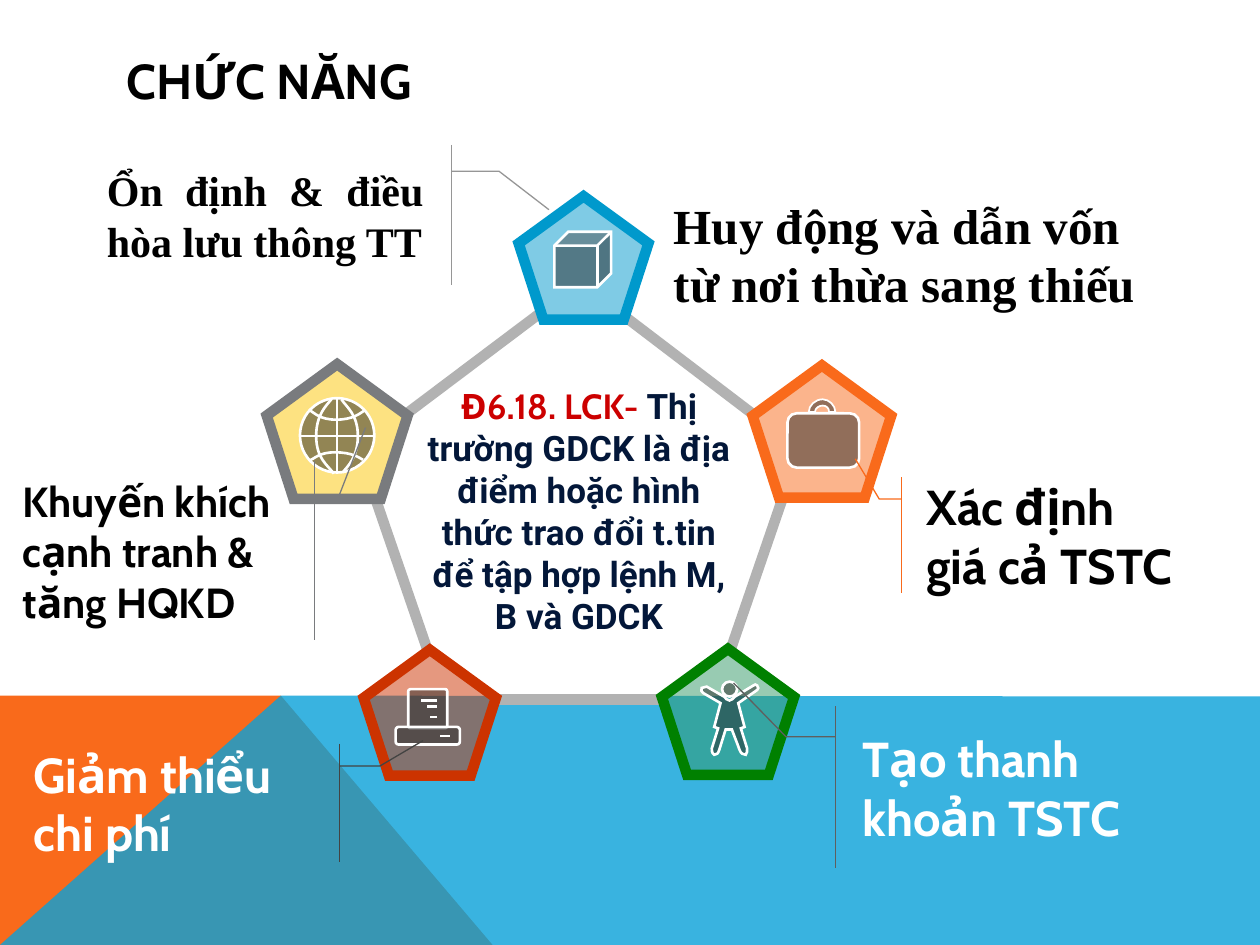
from typing import NamedTuple, Optional

from lxml import etree
from pptx import Presentation
from pptx import util as u
from pptx.dml.color import RGBColor
from pptx.enum import shapes, text
from pptx.oxml.ns import qn

Pt = u.Pt
KIND = shapes.MSO_SHAPE
ALIGN = text.PP_ALIGN
ANCHOR = text.MSO_ANCHOR

BLACK = RGBColor(0x00, 0x00, 0x00)
WHITE = RGBColor(0xFF, 0xFF, 0xFF)
ORANGE = RGBColor(0xF9, 0x6A, 0x1B)
SKY = RGBColor(0x08, 0xA1, 0xD9)
LINK_GRAY = RGBColor(0xB2, 0xB2, 0xB2)
RED = RGBColor(0xCC, 0x33, 0x00)
YELLOW = RGBColor(0xFC, 0xC7, 0x04)
SLATE = RGBColor(0x79, 0x7B, 0x7E)
BLUE = RGBColor(0x00, 0x99, 0xCC)
SEA = RGBColor(0x33, 0x99, 0x66)
GREEN = RGBColor(0x00, 0x80, 0x00)
ICON = RGBColor(0x29, 0x29, 0x29)
CRIMSON = RGBColor(0xCC, 0x00, 0x00)
NAVY = RGBColor(0x03, 0x17, 0x39)
SILVER = RGBColor(0x96, 0x96, 0x96)
CHARCOAL = RGBColor(0x43, 0x43, 0x42)
DIM = RGBColor(0x5F, 0x5F, 0x5F)

Box = tuple[float, float, float, float]


class Style(NamedTuple):
    fill: Optional[RGBColor] = None
    alpha: int = 100
    line: Optional[RGBColor] = None
    width: float = 1.5


class Part(NamedTuple):
    kind: KIND
    box: Box
    adjustments: tuple = ()


class Node(NamedTuple):
    box: Box
    fill: RGBColor
    line: RGBColor


class Words(NamedTuple):
    text: str
    size: float
    name: str = "Cabin"
    color: RGBColor = BLACK


class Callout(NamedTuple):
    box: Box
    adjustments: tuple
    line: RGBColor
    words: Words
    alignment: ALIGN = ALIGN.LEFT


ICON_STYLE = Style(ICON, 50, WHITE)
ICON_LINE = Style(line=WHITE)

BANDS = [
    ([(0, 540), (0, 397.5), (160.5, 397.5), (281.5, 540)], Style(ORANGE)),
    ([(0, 540), (160.5, 397.5), (720, 398), (720, 540)], Style(SKY, 80)),
]
LINKS = [
    (232.6, 236.2, 308.2, 179.3), (430.6, 236.9, 355, 179.3), (377.3, 399.6, 283, 399.6),
    (447.1, 285.1, 416.9, 373), (214.6, 285.1, 244.8, 373),
]
NODES = [
    Node((207.8, 371.3, 75.6, 72), RED, RED),
    Node((152.4, 208.1, 80.6, 77), YELLOW, SLATE),
    Node((430.1, 208.8, 79.2, 75.6), ORANGE, ORANGE),
    Node((296.4, 112.1, 74.2, 70.6), BLUE, BLUE),
    Node((378.2, 370.8, 75.6, 72), SEA, GREEN),
]
ICON_PARTS = [
    Part(KIND.OVAL, (171.4, 227.5, 42.5, 42.5)),
    Part(KIND.ROUNDED_RECTANGLE, (233.3, 393.8, 22.3, 22.3), (0.06,)),
    Part(KIND.ROUNDED_RECTANGLE, (226.1, 415.4, 36.7, 10.1), (0.17,)),
    Part(KIND.CUBE, (316.8, 132.5, 32.4, 31.7), (0.25,)),
    Part(KIND.ROUNDED_RECTANGLE, (450, 236.2, 41, 31), (0.17,)),
]
ICON_STROKES = [
    (192.6, 227.5, 192.6, 270), (171.4, 249.1, 213.8, 249.1),
    (257, 420.5, 251.3, 420.5), (249.8, 400.3, 240.5, 400.3),
    (249.8, 403.9, 244.1, 403.9), (249.8, 409.7, 245.5, 409.7),
]
GLOBE_ARCS = [
    [(195.1, 228.2), (198, 232.6, 204.5, 236.9, 204.5, 249.1), (204.5, 261.4, 198.7, 266.4, 195.8, 270)],
    [(189.4, 228.2), (186.5, 231.8, 180.7, 236.9, 180.7, 249.1), (180.7, 262.1, 187.2, 265.7, 190.8, 270.7)],
    [(207.4, 262.8), (205.2, 261.4, 200.9, 258.5, 191.5, 258.5), (182.2, 258.5, 180, 262.1, 176.4, 263.5)],
    [(208.1, 234.7), (205.9, 236.2, 201.6, 239.8, 192.2, 239.8), (182.9, 239.8, 180, 236.2, 176.4, 234)],
]
CASE_HANDLE = [
    (465.8, 235.4), (465.8, 233.3, 468, 231.8, 470.2, 231.8), (472.3, 231.8, 473.8, 233.3, 473.8, 235.4),
    (477.4, 235.4), (477.4, 231.8, 473.8, 228.2, 470.2, 228.2), (465.8, 228.2, 462.2, 231.8, 462.2, 235.4),
]
PERSON_BODY = [
    (414, 398.2), (414.7, 398.9, 415.4, 400.3, 416.9, 400.3), (418.3, 400.3, 419, 398.9, 419.8, 398.2),
    (430.6, 391.7), (431.3, 391, 432, 391, 432.7, 391.7), (433.4, 392.4, 434.2, 393.8, 431.3, 395.3),
    (421.9, 401.8), (425.5, 415.4), (423.4, 416.2), (427, 427.7),
    (427, 429.1, 427, 430.6, 426.2, 431.3), (424.8, 431.3, 423.4, 430.6, 422.6, 428.4),
    (421.9, 426.2, 419, 419, 418.3, 416.9), (414.7, 416.9),
    (414, 419, 411.8, 426.2, 411.1, 428.4), (410.4, 430.6, 409.7, 431.3, 408.2, 431.3),
    (407.5, 430.6, 406.8, 430.6, 406.8, 427.7), (410.4, 416.2), (408.2, 415.4), (411.8, 401.8),
    (401.8, 396), (401, 395.3, 400.3, 394.6, 401, 393.1), (402.5, 392.4, 402.5, 392.4, 403.9, 392.4),
]
PERSON_HEAD = Part(KIND.OVAL, (412.6, 389.5, 8.6, 8.6))
CALLOUTS = [
    Callout((54, 82.8, 195.1, 80.3), (0.188, 1.045, 0.188, 1.185, 0.461, 1.331), SILVER,
            Words("Ổn định & điều hòa lưu thông TT", 24, "Times New Roman"), ALIGN.JUSTIFY),
    Callout((5.8, 263.7, 166.3, 102.2), (0.188, 1.045, 0.188, 1.131, -0.19, 1.221), SLATE,
            Words("Khuyến khích cạnh tranh & tăng HQKD", 24)),
    Callout((12, 425, 174.2, 67.7), (0.188, 1.045, 0.188, 1.178, -0.026, 1.319), CHARCOAL,
            Words("Giảm thiểu chi phí", 28, color=WHITE)),
    Callout((485.8, 403.7, 185, 92.2), (0.188, -0.045, 0.188, -0.198, -0.146, -0.36), DIM,
            Words("Tạo thanh khoản TSTC", 28, color=WHITE)),
    Callout((522.3, 272.7, 155.5, 66.2), (0.188, -0.045, 0.188, -0.128, -0.159, -0.216), ORANGE,
            Words("Xác định giá cả TSTC", 28)),
]


def paint(shape, style: Style) -> None:
    shape.shadow.inherit = False
    if style.fill is None:
        shape.fill.background()
    else:
        shape.fill.solid()
        shape.fill.fore_color.rgb = style.fill
        if style.alpha < 100:
            color = shape._element.spPr.find(qn("a:solidFill"))[0]
            etree.SubElement(color, qn("a:alpha"), val=str(style.alpha * 1000))
    if style.line is None:
        shape.line.fill.background()
    else:
        shape.line.color.rgb = style.line
        shape.line.width = Pt(style.width)
        etree.SubElement(shape._element.spPr.find(qn("a:ln")), qn("a:miter"), lim="800000")


def draw_part(slide, part: Part, style: Style):
    shape = slide.shapes.add_shape(part.kind, *map(Pt, part.box))
    for index, value in enumerate(part.adjustments):
        shape.adjustments[index] = value
    paint(shape, style)
    return shape


def draw_line(slide, ends: Box, color: RGBColor, width: float) -> None:
    connector = slide.shapes.add_connector(shapes.MSO_CONNECTOR.STRAIGHT, *map(Pt, ends))
    connector.line.color.rgb = color
    connector.line.width = Pt(width)
    etree.SubElement(connector._element.spPr, qn("a:effectLst"))


def draw_outline(slide, segments: list, style: Style, close: bool = True) -> None:
    points = [(Pt(segment[-2]), Pt(segment[-1])) for segment in segments]
    builder = slide.shapes.build_freeform(*points[0])
    builder.add_line_segments(points[1:], close=close)
    shape = builder.convert_to_shape()
    steps = list(shape._element.spPr.iter(qn("a:lnTo")))
    for step, segment in zip(steps, segments[1:]):
        if len(segment) == 6:
            step.tag = qn("a:cubicBezTo")
            for index in (0, 1):
                x, y = map(Pt, segment[2 * index:2 * index + 2])
                control = etree.Element(qn("a:pt"), x=str(x - shape.left), y=str(y - shape.top))
                step.insert(index, control)
    paint(shape, style)


def write(shape, runs: list[Words], alignment: ALIGN = ALIGN.LEFT, anchor: ANCHOR = ANCHOR.MIDDLE) -> None:
    frame = shape.text_frame
    frame.word_wrap = True
    frame.vertical_anchor = anchor
    paragraph = frame.paragraphs[0]
    paragraph.alignment = alignment
    for words in runs:
        run = paragraph.add_run()
        run.text = words.text
        for key, value in {"size": Pt(words.size), "name": words.name, "bold": True}.items():
            setattr(run.font, key, value)
        run.font.color.rgb = words.color


def draw_text(slide, box: Box, runs: list[Words], **layout) -> None:
    write(slide.shapes.add_textbox(*map(Pt, box)), runs, **layout)


def main() -> None:
    presentation = Presentation()
    presentation.slide_width, presentation.slide_height = Pt(720), Pt(540)
    slide = presentation.slides.add_slide(presentation.slide_layouts[6])
    for outline, style in BANDS:
        draw_outline(slide, outline, style)
    for ends in LINKS:
        draw_line(slide, ends, LINK_GRAY, 6)
    for node in NODES:
        draw_part(slide, Part(KIND.REGULAR_PENTAGON, node.box), Style(node.fill, 50, node.line, 6))
    for part in ICON_PARTS:
        draw_part(slide, part, ICON_STYLE)
    for ends in ICON_STROKES:
        draw_line(slide, ends, WHITE, 1.5)
    for arc in GLOBE_ARCS:
        draw_outline(slide, arc, ICON_LINE, close=False)
    draw_outline(slide, CASE_HANDLE, ICON_STYLE._replace(width=1))
    draw_outline(slide, PERSON_BODY, ICON_STYLE)
    draw_part(slide, PERSON_HEAD, ICON_STYLE)
    definition = "Thị trường GDCK là địa điểm hoặc hình thức trao đổi t.tin để tập hợp lệnh M, B và GDCK"
    draw_text(slide, (236.9, 216, 187.9, 152.6),
              [Words("Đ6.18. LCK- ", 20, color=CRIMSON), Words(definition, 20, "Roboto", NAVY)],
              alignment=ALIGN.CENTER, anchor=ANCHOR.TOP)
    for callout in CALLOUTS:
        part = Part(KIND.LINE_CALLOUT_2_ACCENT_BAR, callout.box, callout.adjustments)
        shape = draw_part(slide, part, Style(line=callout.line, width=0.75))
        write(shape, [callout.words], callout.alignment)
    draw_text(slide, (378, 108, 293.8, 74.9),
              [Words("Huy động và dẫn vốn từ nơi thừa sang thiếu", 28, "Times New Roman")], anchor=ANCHOR.TOP)
    draw_text(slide, (65.2, 29.2, 591.8, 33.1), [Words("CHỨC NĂNG", 28)])
    presentation.save("out.pptx")


if __name__ == "__main__":
    main()
